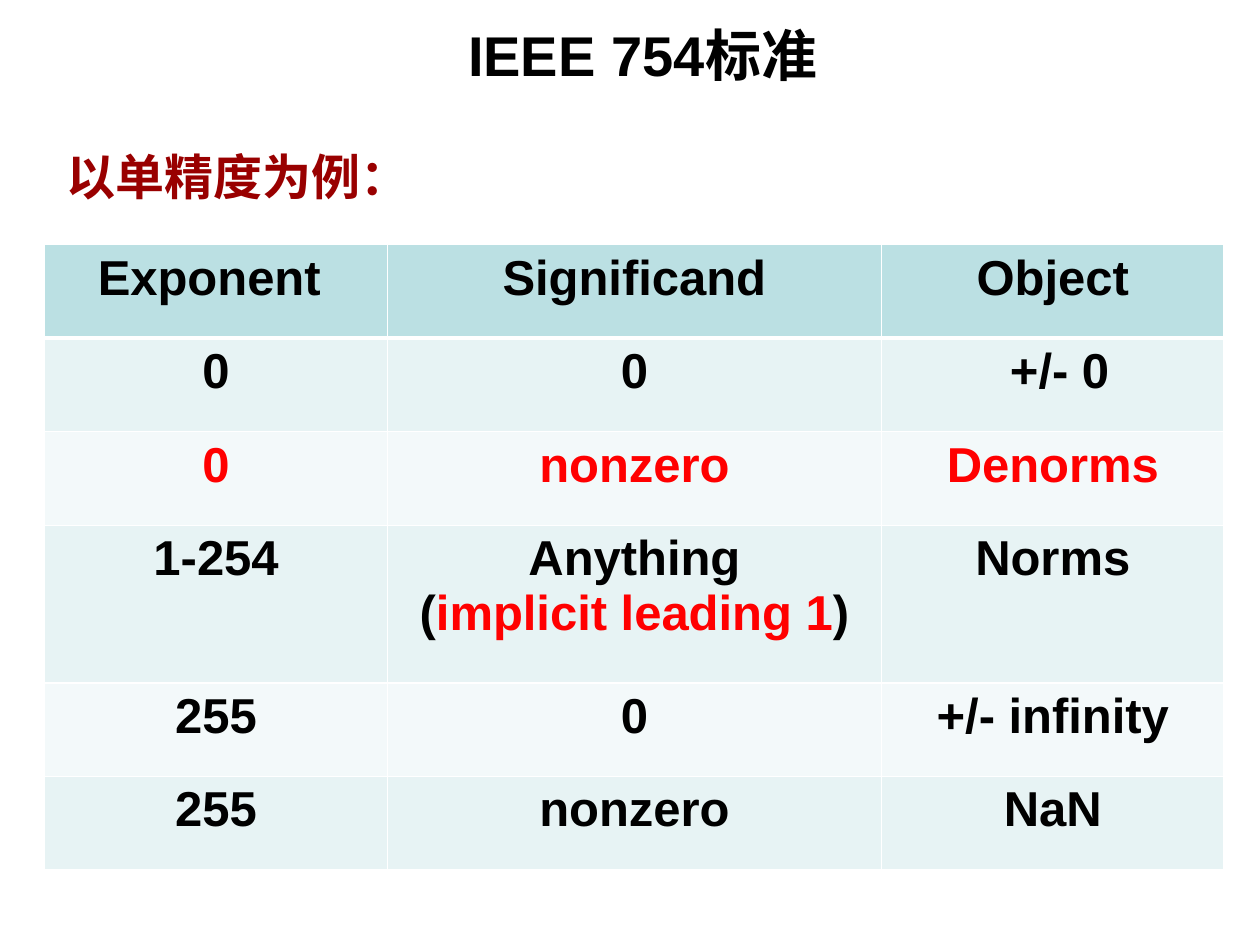
from lxml import etree
from pptx import Presentation
from pptx.dml.color import RGBColor
from pptx.enum.text import MSO_ANCHOR, MSO_AUTO_SIZE, PP_ALIGN
from pptx.oxml.ns import qn
from pptx.util import Pt

CENTER, LEFT = PP_ALIGN.CENTER, PP_ALIGN.LEFT
BOTTOM = MSO_ANCHOR.BOTTOM
GROW = MSO_AUTO_SIZE.SHAPE_TO_FIT_TEXT

BLACK = RGBColor(0x00, 0x00, 0x00)
RED = RGBColor(0xFF, 0x00, 0x00)
DARK_RED = RGBColor(0x99, 0x00, 0x00)
WHITE = RGBColor(0xFF, 0xFF, 0xFF)
HEADER_FILL = RGBColor(0xBB, 0xE0, 0xE3)
BAND_FILLS = (RGBColor(0xF3, 0xF9, 0xFA), RGBColor(0xE7, 0xF3, 0xF4))

TITLE = " IEEE 754标准"
SUBTITLE = "以单精度为例："
# A cell is a text, or a list of paragraphs made of (text, colour) spans.
ROWS = [
    ("Exponent ", "Significand", "Object"),
    ("0", "0", " +/- 0"),
    ("0", "nonzero", "Denorms"),
    ("1-254",
     [[("Anything", BLACK)],
      [("(", BLACK), ("implicit leading 1", RED), (")", BLACK)]],
     "Norms"),
    ("255", "0", "+/- infinity"),
    ("255", "nonzero", "NaN"),
]
RED_ROW = 2
COLUMN_WIDTHS = (195.9, 282.3, 195.9)
ROW_HEIGHTS = (53.5, 53.5, 53.5, 90, 53.5, 53.5)


def write(frame, paragraphs, size=28, align=CENTER):
    """Fill a text frame with paragraphs of (text, colour) spans."""
    for index, spans in enumerate(paragraphs):
        para = frame.paragraphs[0] if index == 0 else frame.add_paragraph()
        para.alignment = align
        for text, color in spans:
            span = para.add_run()
            span.text = text
            span.font.name = "Arial"
            span.font.size = Pt(size)
            span.font.bold = True
            span.font.color.rgb = color


def add_borders(cell, top, bottom):
    """Draw white borders around a cell, with top and bottom widths."""
    properties = cell._tc.get_or_add_tcPr()
    sides = (("a:lnL", 1), ("a:lnR", 1), ("a:lnT", top), ("a:lnB", bottom))
    for position, (tag, width) in enumerate(sides):
        line = etree.Element(qn(tag), w=str(Pt(width)))
        fill = etree.SubElement(line, qn("a:solidFill"))
        etree.SubElement(fill, qn("a:srgbClr"), val=str(WHITE))
        properties.insert(position, line)


def add_format_table(page):
    """Add the table of exponent and significand cases."""
    table = page.shapes.add_table(
        len(ROWS), len(COLUMN_WIDTHS), Pt(25.5), Pt(139.7),
        Pt(sum(COLUMN_WIDTHS)), Pt(sum(ROW_HEIGHTS))).table
    for column, width in zip(table.columns, COLUMN_WIDTHS):
        column.width = Pt(width)
    for row_index, content in enumerate(ROWS):
        table.rows[row_index].height = Pt(ROW_HEIGHTS[row_index])
        color = RED if row_index == RED_ROW else BLACK
        for column_index, value in enumerate(content):
            cell = table.cell(row_index, column_index)
            paragraphs = [[(value, color)]] if isinstance(value, str) else value
            write(cell.text_frame, paragraphs)
            cell.fill.solid()
            cell.fill.fore_color.rgb = (
                BAND_FILLS[row_index % 2] if row_index else HEADER_FILL)
            add_borders(cell, top=3 if row_index == 1 else 1,
                        bottom=3 if row_index == 0 else 1)


deck = Presentation()
deck.slide_width, deck.slide_height = Pt(720), Pt(540)
page = deck.slides.add_slide(deck.slide_layouts[5])

title = page.shapes.title
title.left, title.top, title.width, title.height = (
    Pt(44.6), Pt(9.4), Pt(636.5), Pt(42.5))
frame = title.text_frame
frame.margin_left = frame.margin_right = Pt(5)
frame.margin_top = frame.margin_bottom = Pt(2)
frame.vertical_anchor = BOTTOM
frame.auto_size = GROW
write(frame, [[(TITLE, BLACK)]], size=32)

box = page.shapes.add_textbox(Pt(31), Pt(79.9), Pt(678.2), Pt(48.2))
box.text_frame.word_wrap = True
write(box.text_frame, [[(SUBTITLE, DARK_RED)]], align=LEFT)

add_format_table(page)
deck.save("out.pptx")
